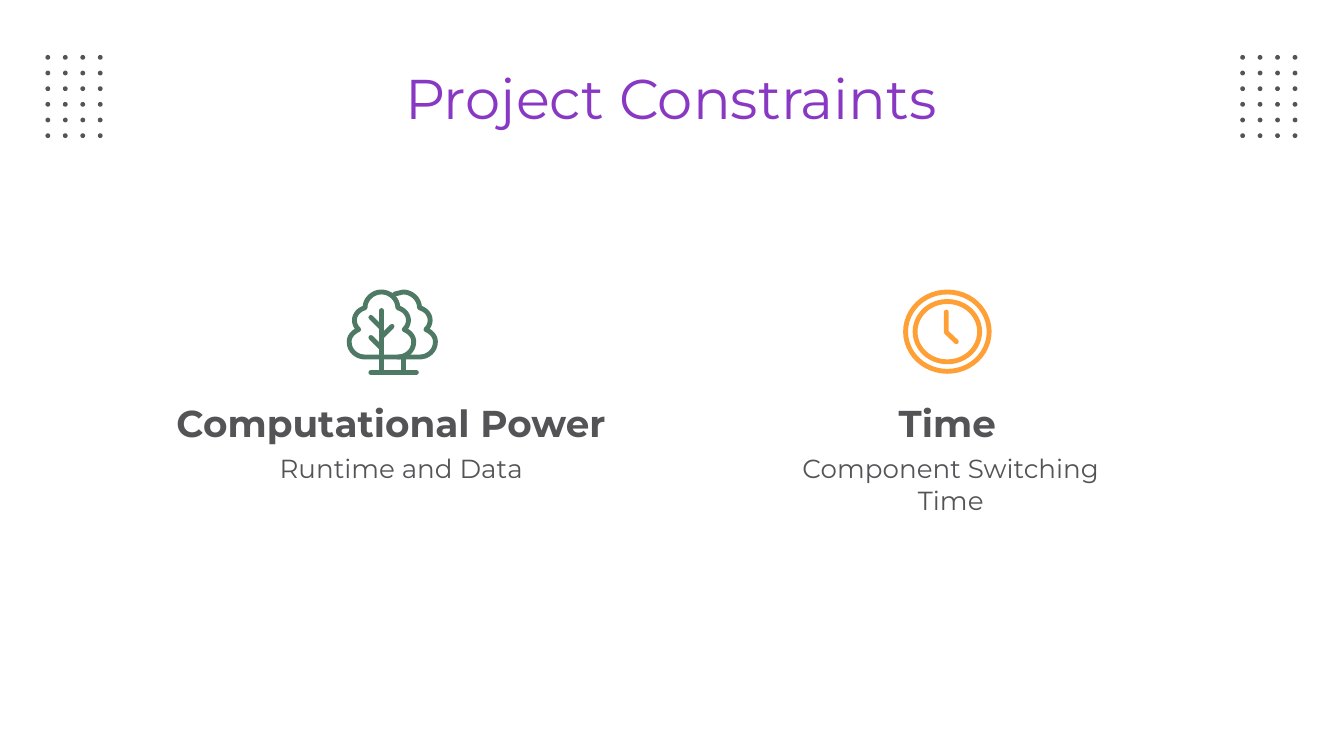
from pptx import Presentation
from pptx.dml.color import RGBColor
from pptx.enum import shapes, text
from pptx.oxml import ns
from pptx.util import Cm, Pt

PURPLE, GREY, GREEN, ORANGE = "8838C3", "545457", "4E7964", "FFA037"
FONT = "Montserrat"
STROKE = 2.6
CROWN_TOP = (0, 0.05)
CROWN_CURVES = [
    ((0.16, 0.05), (0.31, 0.18), (0.31, 0.35)),
    ((0.43, 0.38), (0.51, 0.48), (0.51, 0.58)),
    ((0.51, 0.66), (0.48, 0.71), (0.43, 0.76)),
    ((0.54, 0.81), (0.61, 0.89), (0.61, 0.99)),
    ((0.61, 1.17), (0.46, 1.28), (0.31, 1.28)),
]


def color(hex_value):
    """Return the colour of a hex string."""
    return RGBColor.from_string(hex_value)


def add_text(slide, box, words, size, hue, bold=False,
             anchor=text.MSO_ANCHOR.TOP, insets=(0.25, 0.18, 0.25, 0.25)):
    """Place one centred line of text in a box."""
    frame = slide.shapes.add_textbox(*map(Cm, box)).text_frame
    frame.word_wrap = True
    frame.vertical_anchor = anchor
    (frame.margin_left, frame.margin_top,
     frame.margin_right, frame.margin_bottom) = map(Cm, insets)
    paragraph = frame.paragraphs[0]
    paragraph.alignment = text.PP_ALIGN.CENTER
    run = paragraph.add_run()
    run.text = words
    run.font.name, run.font.size, run.font.bold = FONT, Pt(size), bold
    run.font.color.rgb = color(hue)


def outline(shape, hue):
    """Give a shape a round-ended line and no fill."""
    shape.shadow.inherit = False
    shape.fill.background()
    shape.line.color.rgb = color(hue)
    shape.line.width = Pt(STROKE)
    line = shape.line._get_or_add_ln()
    line.set("cap", "rnd")
    line.append(line.makeelement(ns.qn("a:round"), {}))


def add_stroke(slide, box, points, hue):
    """Draw an open line through points measured from the box corner."""
    left, top = box[:2]
    start, *rest = [(Cm(left + x), Cm(top + y)) for x, y in points]
    builder = slide.shapes.build_freeform(*start, scale=1.0)
    builder.add_line_segments(rest, close=False)
    outline(builder.convert_to_shape(), hue)


def crown_half(steps=8):
    """Return the right half of a tree crown around its trunk axis."""
    points = [CROWN_TOP]
    for b, c, d in CROWN_CURVES:
        a = points[-1]
        for step in range(1, steps + 1):
            t = step / steps
            weights = ((1 - t) ** 3, 3 * t * (1 - t) ** 2, 3 * t * t * (1 - t), t ** 3)
            points.append(tuple(sum(w * p[axis] for w, p in zip(weights, (a, b, c, d)))
                                for axis in (0, 1)))
    return points


def draw_trees(slide, box, hue):
    """Draw two overlapping trees on the ground."""
    front, back, ground = 0.66, 1.07, 1.57
    half = crown_half()
    mirrored = [(-x, y) for x, y in reversed(half)]
    front_crown = [(front + x, y) for x, y in mirrored + half + mirrored[:1]]
    back_crown = [(back - 0.16, 0.09)] + [(back + x, y) for x, y in half]
    back_crown.append((front + 0.31, 1.28))
    strokes = [
        back_crown,
        front_crown,
        [(front, 0.4), (front, ground)],
        [(back, 1.28), (back, ground)],
        [(0.46, ground), (1.27 + 0.05, ground)],
        [(0.46, 0.53), (front, 0.73)],
        [(0.46, 0.91), (front, 1.11)],
        [(0.86, 0.7), (front, 0.9)],
    ]
    for points in strokes:
        add_stroke(slide, box, points, hue)


def draw_clock(slide, box, hue):
    """Draw a clock with a double rim and two hands."""
    left, top, width, height = box
    for inset in (0.05, 0.23):
        rim = slide.shapes.add_shape(
            shapes.MSO_SHAPE.OVAL, Cm(left + inset), Cm(top + inset),
            Cm(width - 2 * inset), Cm(height - 2 * inset))
        outline(rim, hue)
    add_stroke(slide, box, [(0.82, 0.43), (0.82, 0.81), (1.01, 0.99)], hue)


def dot_grid(slide, box, columns=4, rows=6, dot=0.09):
    """Fill a box with evenly spaced dots."""
    left, top, width, height = box
    for row in range(rows):
        for column in range(columns):
            x = left + column * (width - dot) / (columns - 1)
            y = top + row * (height - dot) / (rows - 1)
            mark = slide.shapes.add_shape(
                shapes.MSO_SHAPE.OVAL, Cm(x), Cm(y), Cm(dot), Cm(dot))
            mark.shadow.inherit = False
            mark.fill.solid()
            mark.fill.fore_color.rgb = color(GREY)
            mark.line.fill.background()


def constraint(slide, box, draw_icon, hue, heading, detail, detail_box, detail_insets):
    """Place an icon, a heading and a detail around the heading box."""
    left, top, width, height = box
    icon_width, icon_height = 1.68, 1.6
    icon_box = (left + (width - icon_width) / 2, 5.47, icon_width, icon_height)
    draw_icon(slide, icon_box, hue)
    add_text(slide, box, heading, 20, GREY, bold=True, anchor=text.MSO_ANCHOR.MIDDLE)
    add_text(slide, detail_box, detail, 14, GREY, insets=detail_insets)


def main():
    """Build the constraints slide."""
    deck = Presentation()
    deck.slide_width, deck.slide_height = Cm(25.4), Cm(14.29)
    slide = deck.slides.add_slide(deck.slide_layouts[6])
    for left in (0.86, 23.44):
        dot_grid(slide, (left, 1.04, 1.08, 1.57))
    add_text(slide, (0.86, 1.02, 23.65, 1.6), "Project Constraints", 30, PURPLE)
    constraint(slide, (2.74, 7.24, 9.3, 1.55), draw_trees, GREEN,
               "Computational Power", "Runtime and Data",
               (4.22, 8.56, 6.35, 0.76), (0.38, 0, 0, 0))
    constraint(slide, (14.73, 7.44, 6.35, 1.17), draw_clock, ORANGE,
               "Time", "Component Switching Time",
               (14.12, 8.56, 7.7, 1.37), (0.51, 0, 0.51, 0))
    deck.save("out.pptx")


if __name__ == "__main__":
    main()
